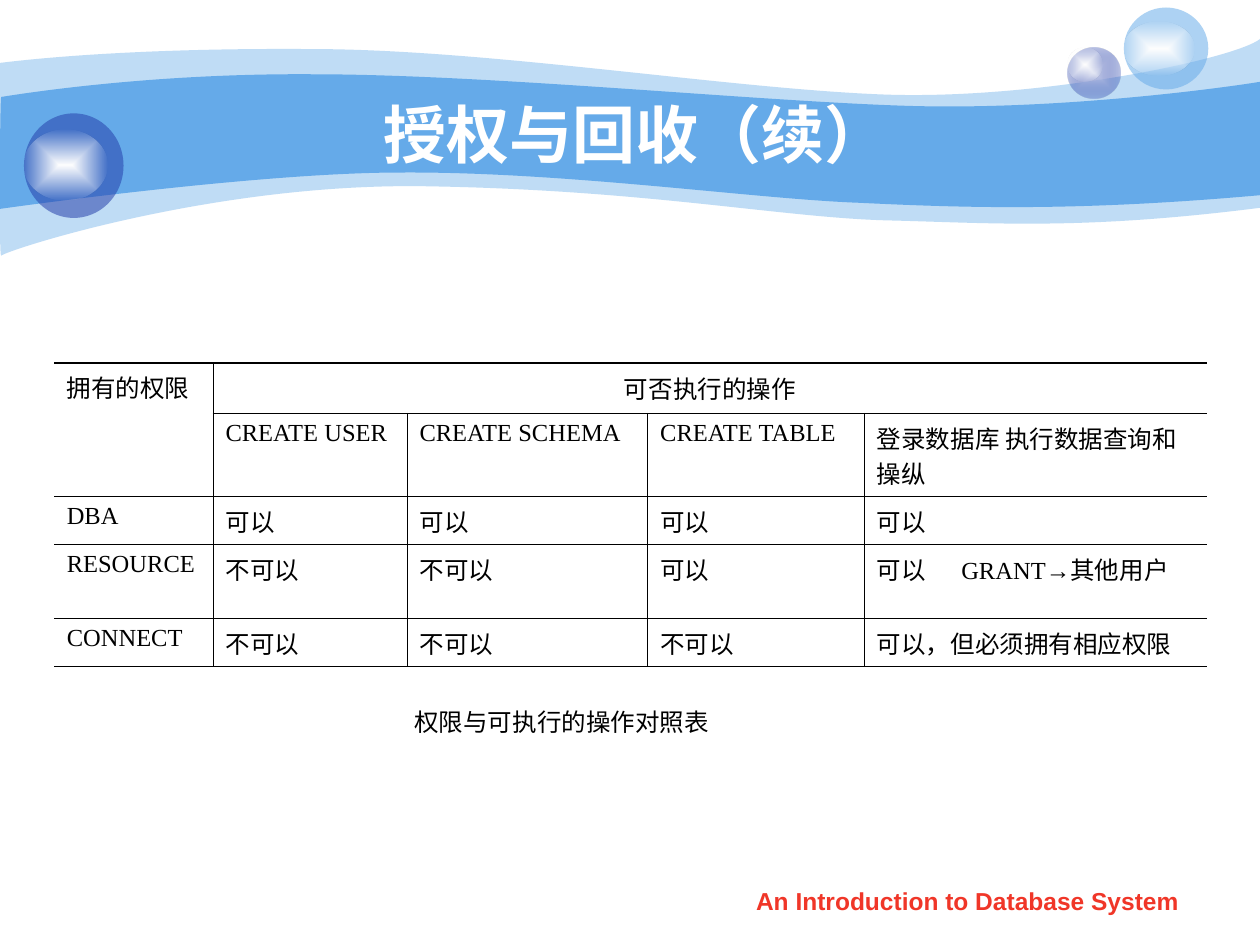
from pptx import Presentation
from pptx import oxml
from pptx import util as u
from pptx.dml.color import RGBColor
from pptx.enum import shapes, text
from pptx.oxml import ns

COLORS = {"sky": "65AAE9", "navy": "233DA9", "lilac": "C7CEE9", "white": "FFFFFF",
          "black": "000000", "red": "F03628"}
THIN, THICK = 0.45, 1.08

# Each band: a start point, then curves (two handles and an end) and lines (an end).
PALE_BAND = [(0, 0.5), (0.24, 0.47, 1.07, 0.38, 2.47, 0.39),
             (3.86, 0.39, 5.75, 0.7, 6.99, 0.75), (8.22, 0.8, 9.8, 0.47, 10, 0.31),
             (10, 1.65), (8.58, 1.83, 7.87, 1.77, 7.05, 1.75),
             (6.22, 1.73, 5.15, 1.51, 3.43, 1.48), (1.72, 1.44, 0.04, 1.99, 0.01, 2.03),
             (-0.01, 2.08, 0, 0.75, 0, 0.5)]
BLUE_BAND = [(0.01, 0.77), (0.02, 0.77, 1.1, 0.58, 2.48, 0.59),
             (3.86, 0.59, 5.95, 0.8, 7.18, 0.84), (8.41, 0.88, 9.76, 0.69, 10, 0.65),
             (10, 1.55), (8.53, 1.68, 7.65, 1.65, 6.82, 1.61),
             (5.99, 1.58, 4.47, 1.36, 3.17, 1.37), (2.03, 1.37, -0.02, 1.66, -0.01, 1.66),
             (0, 1.66, 0, 0.77, 0.01, 0.77)]

COLUMN_WIDTHS = [1.26, 1.54, 1.91, 1.72, 2.72]
ROW_HEIGHTS = [0.4, 0.66, 0.38, 0.59, 0.38]
PRIVILEGES = [
    ["拥有的权限", "可否执行的操作", "", "", ""],
    ["", "CREATE USER", "CREATE SCHEMA", "CREATE TABLE", "登录数据库 执行数据查询和操纵"],
    ["DBA", "可以", "可以", "可以", "可以"],
    ["RESOURCE", "不可以", "不可以", "可以", ["可以\tGRANT", "→", "其他用户"]],
    ["CONNECT", "不可以", "不可以", "不可以", "可以，但必须拥有相应权限"],
]


def rgb(name):
    return RGBColor.from_string(COLORS[name])


def style_run(run, size, font, color, bold=False):
    run.font.size = u.Pt(size)
    run.font.name = font
    run.font.bold = bold
    run.font.color.rgb = rgb(color)


def paint(shape, color, opacity=100):
    shape.shadow.inherit = False
    shape.line.fill.background()
    shape.fill.solid()
    shape.fill.fore_color.rgb = rgb(color)
    if opacity < 100:
        fill_color = shape._element.spPr.find(ns.qn("a:solidFill"))[0]
        fill_color.append(oxml.parse_xml(
            f'<a:alpha {ns.nsdecls("a")} val="{opacity * 1000}"/>'))


def paint_glow(shape, center, edge, edge_opacity):
    """Fill with a gradient that runs from the centre out to a translucent edge."""
    paint(shape, center)
    properties = shape._element.spPr
    glow = oxml.parse_xml(
        f'<a:gradFill {ns.nsdecls("a")} rotWithShape="1"><a:gsLst>'
        f'<a:gs pos="0"><a:srgbClr val="{COLORS[center]}"/></a:gs>'
        f'<a:gs pos="100000"><a:srgbClr val="{COLORS[edge]}">'
        f'<a:alpha val="{edge_opacity * 1000}"/></a:srgbClr></a:gs></a:gsLst>'
        '<a:path path="rect"><a:fillToRect l="50000" t="50000" r="50000" b="50000"/></a:path>'
        '</a:gradFill>')
    properties.replace(properties.find(ns.qn("a:solidFill")), glow)


def add_band(slide, outline, opacity=100):
    """Build the outline through its handles, then turn each handle trio into a curve."""
    points = [(u.Inches(x), u.Inches(y)) for part in outline
              for x, y in zip(part[::2], part[1::2])]
    builder = slide.shapes.build_freeform(*points[0])
    builder.add_line_segments(points[1:], close=True)
    band = builder.convert_to_shape()
    segments = iter(band._element.findall(".//" + ns.qn("a:lnTo")))
    for part in outline[1:]:
        segment = next(segments)
        if len(part) == 6:
            curve = oxml.parse_xml(f'<a:cubicBezTo {ns.nsdecls("a")}/>')
            segment.addprevious(curve)
            for corner in (segment, next(segments), next(segments)):
                curve.append(corner[0])
                corner.getparent().remove(corner)
    paint(band, "sky", opacity)


def add_bubble(slide, ball_box, shine_box, color=None):
    """A ball with a highlight; without a colour the ball is a lilac glow."""
    bubble = slide.shapes.add_group_shape()
    ball, shine = (bubble.shapes.add_shape(shapes.MSO_SHAPE.OVAL, *map(u.Inches, box))
                   for box in (ball_box, shine_box))
    if color:
        paint(ball, color, 53)
    else:
        paint_glow(ball, "lilac", "navy", 31)
    paint_glow(shine, "white", "white", 0)


def add_label(slide, box, words, size, font, color, bold=False, centered=True,
              anchor=text.MSO_ANCHOR.MIDDLE, wrap=True):
    frame = slide.shapes.add_textbox(*map(u.Inches, box)).text_frame
    frame.word_wrap = wrap
    frame.vertical_anchor = anchor
    frame.text = words
    paragraph = frame.paragraphs[0]
    if centered:
        paragraph.alignment = text.PP_ALIGN.CENTER
    style_run(paragraph.runs[0], size, font, color, bold)


def set_borders(cell, widths):
    """Give the left, right, top and bottom edges their widths; 0 hides an edge."""
    properties = cell._tc.get_or_add_tcPr()
    for i, (side, width) in enumerate(zip("LRTB", widths)):
        fill = (f'<a:solidFill><a:srgbClr val="{COLORS["black"]}"/></a:solidFill>'
                if width else '<a:noFill/>')
        properties.insert(i, oxml.parse_xml(
            f'<a:ln{side} {ns.nsdecls("a")} w="{u.Pt(width)}">{fill}</a:ln{side}>'))


def vertical_rule(row, edge):
    inside = 0 < edge < len(COLUMN_WIDTHS)
    return THIN if inside and (row > 0 or edge == 1) else 0


def horizontal_rule(edge, column):
    if edge in (0, len(ROW_HEIGHTS)):
        return THICK
    return 0 if edge == 1 and column == 0 else THIN


def fill_cell(cell, words):
    paragraph = cell.text_frame.paragraphs[0]
    for part in [words] if isinstance(words, str) else words:
        run = paragraph.add_run()
        run.text = part
        style_run(run, 14, "Arial" if part == "→" else "Times New Roman", "black")
    if "\t" in paragraph.text:
        paragraph._p.get_or_add_pPr().append(oxml.parse_xml(
            f'<a:tabLst {ns.nsdecls("a")}><a:tab pos="{u.Inches(0.67)}" algn="l"/></a:tabLst>'))


def add_privilege_table(slide):
    table = slide.shapes.add_table(
        len(ROW_HEIGHTS), len(COLUMN_WIDTHS), u.Inches(0.43), u.Inches(2.88),
        u.Inches(sum(COLUMN_WIDTHS)), u.Inches(sum(ROW_HEIGHTS))).table
    table.first_row = table.horz_banding = False
    for column, width in zip(table.columns, COLUMN_WIDTHS):
        column.width = u.Inches(width)
    for row, height in zip(table.rows, ROW_HEIGHTS):
        row.height = u.Inches(height)
    table.cell(0, 0).merge(table.cell(1, 0))
    table.cell(0, 1).merge(table.cell(0, 4))
    for r, line in enumerate(PRIVILEGES):
        for c, words in enumerate(line):
            cell = table.cell(r, c)
            cell.fill.background()
            bottom = r + (cell.span_height if cell.is_merge_origin else 1)
            right = c + (cell.span_width if cell.is_merge_origin else 1)
            set_borders(cell, (vertical_rule(r, c), vertical_rule(r, right),
                               horizontal_rule(r, c), horizontal_rule(bottom, c)))
            if words:
                fill_cell(cell, words)
    heading = table.cell(0, 1)
    heading.vertical_anchor = text.MSO_ANCHOR.MIDDLE
    heading.text_frame.paragraphs[0].alignment = text.PP_ALIGN.CENTER


def main():
    deck = Presentation()
    deck.slide_width, deck.slide_height = u.Inches(10), u.Inches(7.5)
    slide = deck.slides.add_slide(deck.slide_layouts[6])
    add_band(slide, PALE_BAND, 41)
    add_band(slide, BLUE_BAND)
    add_bubble(slide, (8.47, 0.38, 0.42, 0.4), (8.47, 0.38, 0.28, 0.27))
    add_bubble(slide, (8.92, 0.06, 0.67, 0.65), (8.92, 0.17, 0.56, 0.43), "sky")
    add_bubble(slide, (0.19, 0.9, 0.79, 0.83), (0.19, 1.03, 0.66, 0.56), "navy")
    add_label(slide, (5.71, 6.98, 3.94, 0.35), "An Introduction to Database System",
              14, "Arial", "red", bold=True, anchor=text.MSO_ANCHOR.TOP)
    add_label(slide, (1, 0.75, 8.08, 0.62), "授权与回收（续）", 36, "Arial", "white", bold=True)
    add_privilege_table(slide)
    add_label(slide, (3.19, 5.56, 2.58, 0.34), "权限与可执行的操作对照表",
              14, "Times New Roman", "black", centered=False, wrap=False)
    deck.save("out.pptx")


if __name__ == "__main__":
    main()
